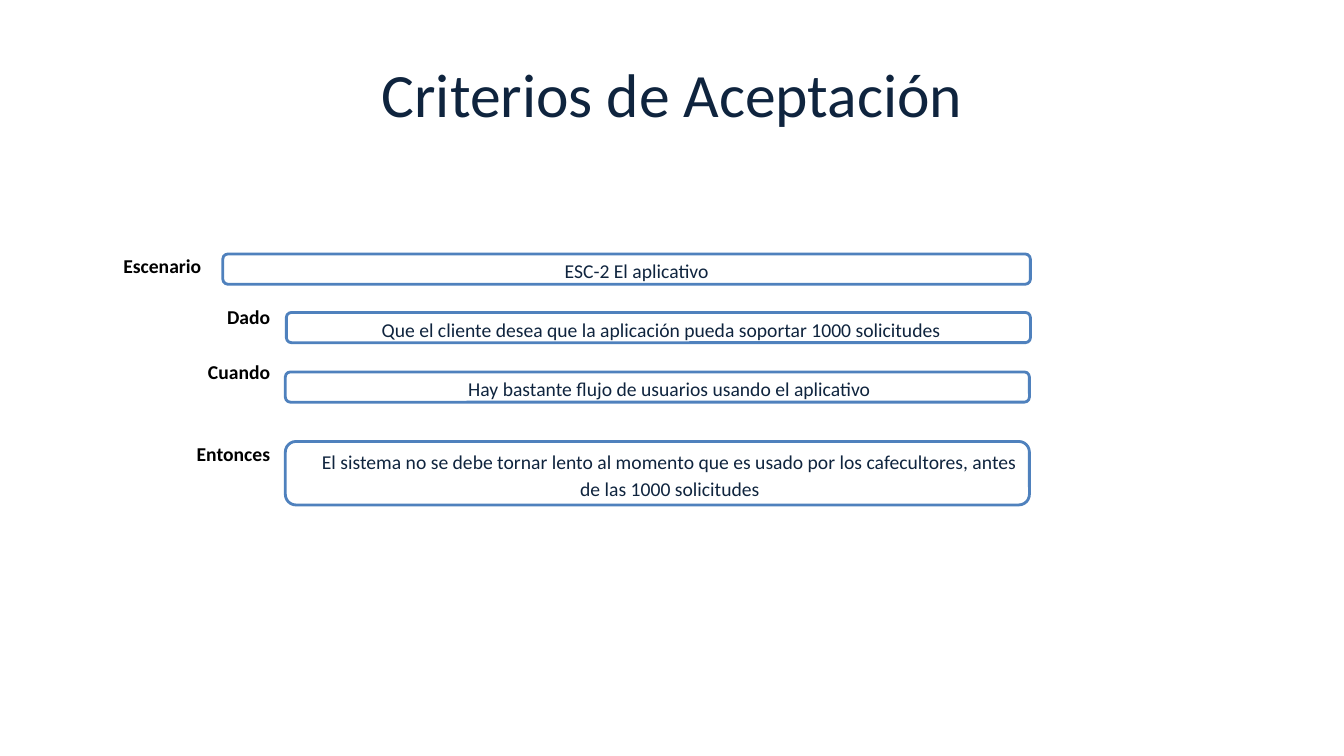
import pptx
import pptx.util
import pptx.dml.color
import pptx.enum.shapes
import pptx.enum.text

Inches = pptx.util.Inches
ALIGN = pptx.enum.text.PP_ALIGN
MIDDLE = pptx.enum.text.MSO_ANCHOR.MIDDLE

# Content
TITLE = "Criterios de Aceptación"
COLORS = {"navy": "0F243E", "black": "000000", "white": "FFFFFF", "blue": "4F81BD"}
# label, row height, statement, box (left, top, width, height), right inset
CRITERIA = [
    ("Escenario", 0.46, "ESC-2 El aplicativo",
     (2.21, 2.52, 8.01, 0.3), 0.04),
    ("Dado", 0.55, "Que el cliente desea que la aplicación pueda soportar 1000 solicitudes",
     (2.84, 3.1, 7.38, 0.3), 0.18),
    ("Cuando", 0.55, "Hay bastante flujo de usuarios usando el aplicativo",
     (2.83, 3.69, 7.38, 0.3), 0),
    ("Entonces", 1.06, "El sistema no se debe tornar lento al momento que es usado por los "
     "cafecultores, antes de las 1000 solicitudes",
     (2.83, 4.38, 7.38, 0.63), 0),
]
COLUMNS = [1.18, 0.55, 7.7]
TABLE_LEFT, TABLE_TOP = 1.02, 2.39


def rgb(name):
    return pptx.dml.color.RGBColor.from_string(COLORS[name])


def write(tf, text, size=14, color="navy", bold=False, align=ALIGN.CENTER,
          spacing=None, indent=None):
    tf.word_wrap = True
    p = tf.paragraphs[0]
    p.alignment = align
    if spacing:
        p.line_spacing = spacing
    if indent:
        pPr = p._p.get_or_add_pPr()
        pPr.set("marL", str(Inches(indent[0])))
        pPr.set("indent", str(Inches(indent[1])))
    r = p.add_run()
    r.text = text
    r.font.name = "Calibri"
    r.font.size = pptx.util.Pt(size)
    r.font.bold = bold
    r.font.color.rgb = rgb(color)


prs = pptx.Presentation()
prs.slide_width, prs.slide_height = Inches(13.33), Inches(7.5)
s = prs.slides.add_slide(prs.slide_layouts[6])

# Title
title = s.shapes.add_textbox(Inches(0.67), Inches(0.3), Inches(12), Inches(1.25))
title.text_frame.vertical_anchor = MIDDLE
write(title.text_frame, TITLE, size=44)

# Table of labels
heights = [row[1] for row in CRITERIA]
table = s.shapes.add_table(
    len(CRITERIA), len(COLUMNS), Inches(TABLE_LEFT), Inches(TABLE_TOP),
    Inches(sum(COLUMNS)), Inches(sum(heights))).table
table.first_row = table.horz_banding = False
for column, width in zip(table.columns, COLUMNS):
    column.width = Inches(width)
for i, (label, height, *_) in enumerate(CRITERIA):
    table.rows[i].height = Inches(height)
    for cell in table.rows[i].cells:
        cell.fill.background()
        cell.vertical_anchor = MIDDLE
        cell.margin_left = cell.margin_right = Inches(0.07)
        cell.margin_top, cell.margin_bottom = Inches(0.02), 0
    # The first row joins the last two cells, the others the first two
    first = 1 if i == 0 else 0
    table.cell(i, first).merge(table.cell(i, first + 1))
    write(table.cell(i, 0).text_frame, label, color="black", bold=True, spacing=1.15,
          align=ALIGN.CENTER if i == 0 else ALIGN.RIGHT)

# Statement boxes
for _, _, statement, box, right_inset in CRITERIA:
    sp = s.shapes.add_shape(pptx.enum.shapes.MSO_SHAPE.ROUNDED_RECTANGLE,
                            *[Inches(v) for v in box])
    sp.shadow.inherit = False
    sp.adjustments[0] = 0.167
    sp.fill.solid()
    sp.fill.fore_color.rgb = rgb("white")
    sp.line.color.rgb = rgb("blue")
    sp.line.width = pptx.util.Pt(2)
    tf = sp.text_frame
    tf.vertical_anchor = MIDDLE
    tf.margin_left = tf.margin_top = tf.margin_bottom = 0
    tf.margin_right = Inches(right_inset)
    write(tf, statement, spacing=1.15, indent=(0.25, -0.01))

prs.save("out.pptx")
